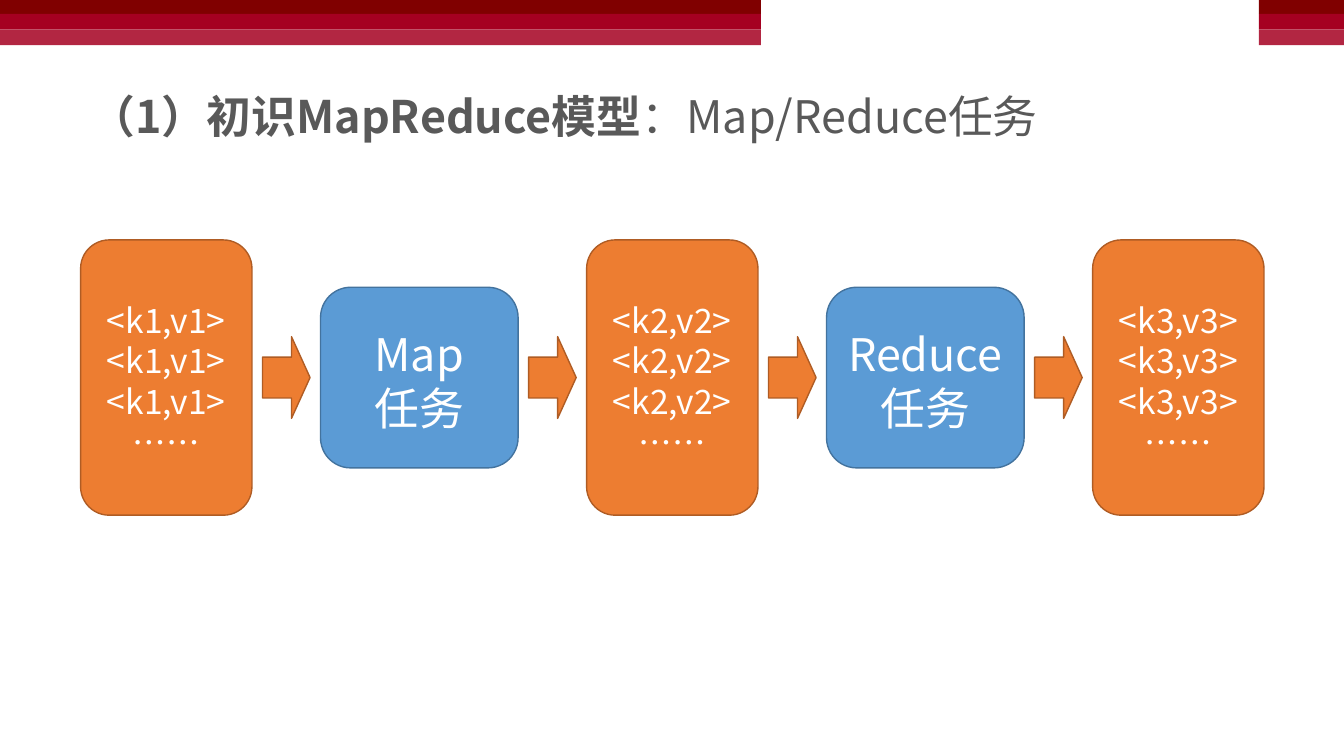
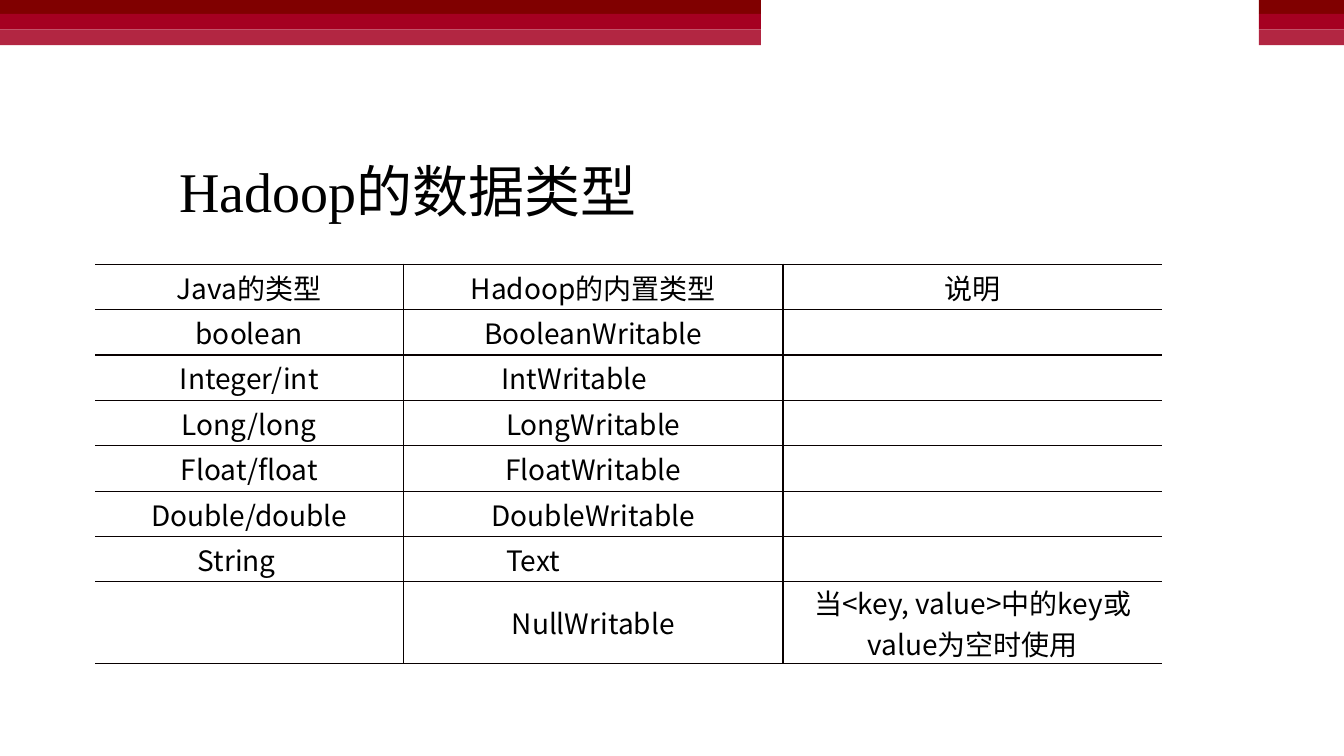
from lxml import etree
from pptx import Presentation
from pptx.dml.color import RGBColor
from pptx.enum.shapes import MSO_SHAPE
from pptx.enum.text import MSO_ANCHOR, PP_ALIGN
from pptx.oxml.ns import qn
from pptx.util import Pt

RECT = MSO_SHAPE.RECTANGLE
ROUND = MSO_SHAPE.ROUNDED_RECTANGLE
ARROW = MSO_SHAPE.RIGHT_ARROW
MIDDLE = MSO_ANCHOR.MIDDLE
LEFT, CENTER = PP_ALIGN.LEFT, PP_ALIGN.CENTER

BLACK = RGBColor(0, 0, 0)
WHITE = RGBColor(0xFF, 0xFF, 0xFF)
GREY = RGBColor(0x59, 0x59, 0x59)
MAROON = RGBColor(0x80, 0x00, 0x00)
RED = RGBColor(0xA5, 0x00, 0x21)
ROSE = RGBColor(0xB2, 0x26, 0x42)
ORANGE = RGBColor(0xED, 0x7D, 0x31)
RUST = RGBColor(0xAF, 0x5C, 0x24)
BLUE = RGBColor(0x5B, 0x9B, 0xD5)
NAVY = RGBColor(0x43, 0x73, 0x9E)
RULE = "080000"

SANS = "Noto Sans CJK SC"
SERIF = "Times New Roman"
WIDE, HIGH = 960, 540
BANDS = ((10, MAROON), (11, RED), (11.2, ROSE))

# Trailing number: extra right inset that moves the centred text left
TYPES = (
    (("Java的类型", 0), ("Hadoop的内置类型", 0), ("说明", 0)),
    (("boolean", 0), ("BooleanWritable", 0), ("", 0)),
    (("Integer/int", 0), ("IntWritable", 27), ("", 0)),
    (("Long/long", 0), ("LongWritable", 0), ("", 0)),
    (("Float/float", 0), ("FloatWritable", 0), ("", 0)),
    (("Double/double", 0), ("DoubleWritable", 0), ("", 0)),
    (("String", 18), ("Text", 86), ("", 0)),
    (("", 0), ("NullWritable", 0), ("当<key, value>中的key或value为空时使用", 0)),
)


def write(frame, lines, size=20, color=BLACK, font=SANS, align=CENTER,
          lead=None, bold=0):
    """Fill a frame; each line is a tuple of runs, the first `bold` of them bold."""
    frame.word_wrap = True
    for i, runs in enumerate(lines):
        para = frame.paragraphs[0] if i == 0 else frame.add_paragraph()
        para.alignment = align
        if lead:
            para.line_spacing = Pt(lead)
        for j, text in enumerate(runs):
            run = para.add_run()
            run.text = text
            run.font.size = Pt(size)
            run.font.bold = j < bold
            run.font.name = font
            run.font.color.rgb = color
            east = etree.SubElement(run.font._element, qn("a:ea"))
            east.set("typeface", SANS)


def add_form(slide, kind, box, fill, line=None):
    form = slide.shapes.add_shape(kind, *map(Pt, box))
    form.shadow.inherit = False
    form.fill.solid()
    form.fill.fore_color.rgb = fill
    if line is None:
        form.line.fill.background()
    else:
        form.line.color.rgb = line
        form.line.width = Pt(1)
    return form


def add_bands(slide, left, width):
    top = 0
    for height, color in BANDS:
        add_form(slide, RECT, (left, top, width, height), color)
        top += height


def add_page(deck):
    slide = deck.slides.add_slide(deck.slide_layouts[6])
    add_bands(slide, 0, 543.6)
    add_bands(slide, 899.3, WIDE - 899.3)
    return slide


def add_title(slide, box, runs, indent=0, **style):
    frame = slide.shapes.add_textbox(*map(Pt, box)).text_frame
    write(frame, [runs], align=LEFT, **style)
    if indent:
        frame.paragraphs[0]._p.get_or_add_pPr().set("indent", str(Pt(indent)))


def add_flow(slide, box):
    """Spread cards, tasks and arrows evenly, centred on the box's middle."""
    left, top, width, height = box
    card = (ROUND, 122.4, height, ORANGE, RUST)
    task = (ROUND, 141.1, 129, BLUE, NAVY)
    arrow = (ARROW, 34, 58.4, ORANGE, RUST)
    pairs = [[(f"<k{n},v{n}>",)] * 3 + [("……",)] for n in (1, 2, 3)]
    jobs = [[(name,), ("任务",)] for name in ("Map", "Reduce")]
    steps = [(card, pairs[0], 24, 29)]
    for job, pair in zip(jobs, pairs[1:]):
        steps += [(arrow, None, 0, 0), (task, job, 32, 38.5),
                  (arrow, None, 0, 0), (card, pair, 24, 29)]
    gap = (width - sum(step[0][1] for step in steps)) / (len(steps) - 1)
    for (kind, wide, high, fill, line), lines, size, lead in steps:
        spot = (left, top + (height - high) / 2, wide, high)
        form = add_form(slide, kind, spot, fill, line)
        if lines:
            frame = form.text_frame
            frame.vertical_anchor = MIDDLE
            frame.margin_top = Pt(8)
            write(frame, lines, size=size, color=WHITE, lead=lead)
        else:
            form.adjustments[1] = 0.39
        left += wide + gap


def set_edges(cell, hidden):
    """Rule all sides of a cell except the hidden ones."""
    props = cell._tc.get_or_add_tcPr()
    for i, side in enumerate(("lnL", "lnR", "lnT", "lnB")):
        edge = etree.Element(qn("a:" + side), w=str(Pt(1)))
        if side in hidden:
            etree.SubElement(edge, qn("a:noFill"))
        else:
            fill = etree.SubElement(edge, qn("a:solidFill"))
            etree.SubElement(fill, qn("a:srgbClr"), val=RULE)
        props.insert(i, edge)


def add_grid(slide, box, rows, widths, heights):
    table = slide.shapes.add_table(len(rows), len(widths), *map(Pt, box)).table
    table.first_row = table.horz_banding = False
    for col, wide in zip(table.columns, widths):
        col.width = Pt(wide)
    for r, (row, high) in enumerate(zip(rows, heights)):
        table.rows[r].height = Pt(high)
        for c, (text, inset) in enumerate(row):
            cell = table.cell(r, c)
            cell.fill.background()
            cell.vertical_anchor = MIDDLE
            cell.margin_top = cell.margin_bottom = 0
            cell.margin_left = Pt(5)
            cell.margin_right = Pt(5 + inset)
            if text:
                write(cell.text_frame, [(text,)])
            set_edges(cell, {0: ("lnL",), len(row) - 1: ("lnR",)}.get(c, ()))


def build_flow(deck):
    slide = add_page(deck)
    add_title(slide, (57.6, 61.2, 828, 54.7),
              ("（1）初识MapReduce模型", "：Map/Reduce任务"),
              size=32, color=GREY, lead=37, bold=1)
    add_flow(slide, (57.6, 171.4, 845.3, 196.6))


def build_types(deck):
    slide = add_page(deck)
    heights = [32.4] * 7 + [58.4]
    widths = (220.4, 271, 271)
    add_grid(slide, (67.9, 188.8, sum(widths), sum(heights)),
             TYPES, widths, heights)
    add_title(slide, (110.9, 106.6, 400, 55.4), ("Hadoop的数据类型",),
              indent=10, size=40, font=SERIF, lead=50)


def main():
    deck = Presentation()
    deck.slide_width, deck.slide_height = Pt(WIDE), Pt(HIGH)
    build_flow(deck)
    build_types(deck)
    deck.save("out.pptx")


if __name__ == "__main__":
    main()
